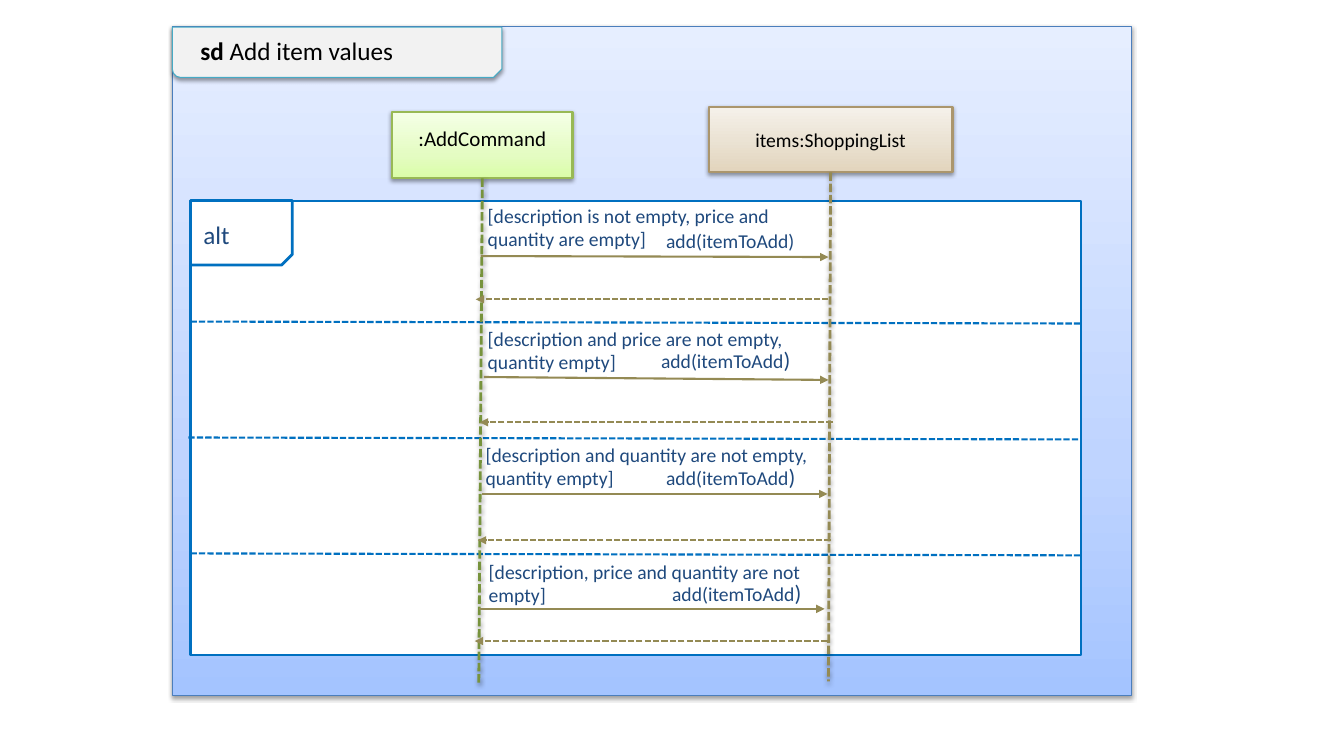
from dataclasses import dataclass

from lxml.etree import SubElement
from pptx import Presentation
from pptx.dml.color import RGBColor
from pptx.enum.dml import MSO_LINE
from pptx.enum.shapes import MSO_CONNECTOR, MSO_SHAPE
from pptx.enum.text import MSO_ANCHOR, PP_ALIGN
from pptx.oxml.ns import qn
from pptx.shapes.autoshape import Shape
from pptx.shapes.connector import Connector
from pptx.util import Pt

COLORS = {
    "black": "000000", "white": "FFFFFF", "gray": "F2F2F2", "teal": "46AAC5",
    "frame": "4B7EBC", "blue": "0070C0", "navy": "1F497D", "olive": "948A54",
    "green": "77933C", "lime": "98B955", "tan": "AB966D",
}
BLENDS = {
    "sky": [(0, "A4C4FF"), (35, "BFD4FF"), (100, "E6EEFF")],
    "leaf": [(0, "DAFDA7"), (35, "E4FCC2"), (100, "F5FFE7")],
    "sand": [(0, "E2D4BC"), (50, "EBE3D4"), (100, "F5F1EA")],
}


@dataclass
class Box:
    x: float
    y: float
    w: float
    h: float


@dataclass
class Actor:
    name: str
    box: Box
    fill: str
    edge: str
    size: float
    inset: tuple[float, float]  # top, bottom
    line: str
    end: tuple[float, float]


@dataclass
class Branch:
    guard: str
    at: tuple[float, float, float]  # left, top, width
    call: tuple[float, float]
    paren: float
    send: tuple[float, float, float, float]
    reply: tuple[float, float]


ACTORS = [
    Actor(":AddCommand", Box(280.1, 79.9, 128.9, 47.5), "leaf", "lime", 15,
          (9.5, 0), "green", (342, 488.9)),
    Actor("items:ShoppingList", Box(506.2, 76.3, 174.2, 46.8), "sand", "tan", 14,
          (3.6, 3.6), "olive", (591.8, 486.7)),
]
BRANCHES = [
    Branch("[description is not empty, price and quantity are empty]",
           (341.3, 146.9, 239), (468.7, 156.2), 14,
           (343.4, 182.9, 591.8, 183.6), (591.8, 213.8)),
    Branch("[description and price are not empty, quantity empty]",
           (341.3, 234.7, 249.8), (465.1, 240.5), 16,
           (345.6, 269.3, 591.8, 271.4), (594.7, 301.7)),
    Branch("[description and quantity are not empty, quantity empty]",
           (339.8, 317.5, 249.1), (468.7, 324), 16,
           (344.2, 352.8, 591.1, 352.8), (593.3, 385.9)),
    Branch("[description, price and quantity are not empty]",
           (342, 401, 247), (473, 406.8), 16,
           (342, 434.9, 589, 434.9), (591.1, 457.9)),
]
REPLY = 252  # length of every reply arrow
STEP = 82.8  # gap between dividers

deck = Presentation()
deck.slide_width, deck.slide_height = Pt(960), Pt(540)
slide = deck.slides.add_slide(deck.slide_layouts[6])


def tint(name: str) -> RGBColor:
    return RGBColor.from_string(COLORS[name])


def cast(effects) -> None:
    """Put a soft drop shadow in an effect list."""
    drop = SubElement(effects, qn("a:outerShdw"), blurRad=str(Pt(3.1)),
                      dist=str(Pt(1.6)), dir="5400000", rotWithShape="0")
    color = SubElement(drop, qn("a:srgbClr"), val=COLORS["black"])
    SubElement(color, qn("a:alpha"), val="38000")


def block(kind: MSO_SHAPE, box: Box, fill: str, edge: str, width: float,
          shade: bool = False, flip: bool = False) -> Shape:
    shape = slide.shapes.add_shape(kind, Pt(box.x), Pt(box.y), Pt(box.w), Pt(box.h))
    props = shape._element.spPr
    if fill in BLENDS:
        shape.fill.gradient()
        shape.fill.gradient_angle = 90
        stops = props.find(".//" + qn("a:gsLst"))
        for old in list(stops):
            stops.remove(old)
        for spot, color in BLENDS[fill]:
            stop = SubElement(stops, qn("a:gs"), pos=str(spot * 1000))
            SubElement(stop, qn("a:srgbClr"), val=color)
    else:
        shape.fill.solid()
        shape.fill.fore_color.rgb = tint(fill)
    shape.line.color.rgb = tint(edge)
    shape.line.width = Pt(width)
    shape.shadow.inherit = False
    if shade:
        cast(props.find(qn("a:effectLst")))
    if flip:
        props.find(qn("a:xfrm")).set("flipV", "1")
    return shape


def style(para, size: float, color: str) -> None:
    para.font.name = "Calibri"
    para.font.size = Pt(size)
    para.font.color.rgb = tint(color)


def label(box: Box, parts: list[str], size: float, color: str,
          anchor: MSO_ANCHOR = MSO_ANCHOR.MIDDLE) -> list:
    """Add a text box and return its runs."""
    shape = slide.shapes.add_textbox(Pt(box.x), Pt(box.y), Pt(box.w), Pt(box.h))
    frame = shape.text_frame
    frame.word_wrap = True
    frame.vertical_anchor = anchor
    para = frame.paragraphs[0]
    style(para, size, color)
    for part in parts:
        para.add_run().text = part
    return list(para.runs)


def stroke(ends: tuple[float, float, float, float], color: str, width: float = 1.5,
           dash: bool = False, head: bool = False, shade: bool = False) -> Connector:
    line = slide.shapes.add_connector(MSO_CONNECTOR.STRAIGHT, *map(Pt, ends))
    line.line.color.rgb = tint(color)
    line.line.width = Pt(width)
    if dash:
        line.line.dash_style = MSO_LINE.SQUARE_DOT
    props = line._element.spPr
    if head:
        SubElement(props.find(qn("a:ln")), qn("a:tailEnd"), type="triangle")
    effects = SubElement(props, qn("a:effectLst"))
    if shade:
        cast(effects)
    return line


# Outer frame and title tab
block(MSO_SHAPE.RECTANGLE, Box(123.1, 18.7, 685.4, 478.1), "sky", "frame", 0.75, shade=True)
block(MSO_SHAPE.SNIP_ROUND_RECTANGLE, Box(123.1, 19.4, 235.4, 36), "gray", "teal", 0.75,
      shade=True, flip=True)
title = label(Box(136.1, 21.6, 429.1, 51.1), ["sd", " Add item values"], 18, "black",
              MSO_ANCHOR.TOP)
title[0].font.bold = True

# Alt frame with its tab and dividers
block(MSO_SHAPE.RECTANGLE, Box(136.1, 143.3, 635.8, 324.7), "white", "blue", 1.5)
block(MSO_SHAPE.SNIP_1_RECTANGLE, Box(136.1, 143.3, 72.7, 46.1), "white", "blue", 2, flip=True)
label(Box(138.2, 141.8, 635.8, 51.8), ["alt"], 18, "navy")
for row, left in enumerate((136.1, 134.6, 136.1)):
    top = 229.7 + row * STEP
    stroke((left, top, left + 635.7, top + 1.4), "blue", dash=True)

# Actors and lifelines
for actor in ACTORS:
    box = actor.box
    shape = block(MSO_SHAPE.RECTANGLE, box, actor.fill, actor.edge, 1.5, shade=True)
    frame = shape.text_frame
    frame.word_wrap = True
    frame.margin_top, frame.margin_bottom = map(Pt, actor.inset)
    frame.vertical_anchor = MSO_ANCHOR.TOP if actor.size == 15 else MSO_ANCHOR.MIDDLE
    frame.text = actor.name
    frame.paragraphs[0].alignment = PP_ALIGN.CENTER
    style(frame.paragraphs[0], actor.size, "black")
    life = stroke((box.x + box.w / 2, box.y + box.h, *actor.end), actor.line, 2,
                  dash=True, shade=True)
    life.begin_connect(shape, 2)

# Guards, calls and replies
for branch in BRANCHES:
    label(Box(*branch.at, 31), [branch.guard], 14, "navy")
    parts = label(Box(*branch.call, 195.8, 17 + branch.paren), ["add(itemToAdd", ")"], 14, "navy")
    parts[1].font.size = Pt(branch.paren)
    stroke(branch.send, "olive", head=True)
    right, top = branch.reply
    stroke((right, top, right - REPLY, top), "olive", dash=True, head=True)

deck.save("out.pptx")
